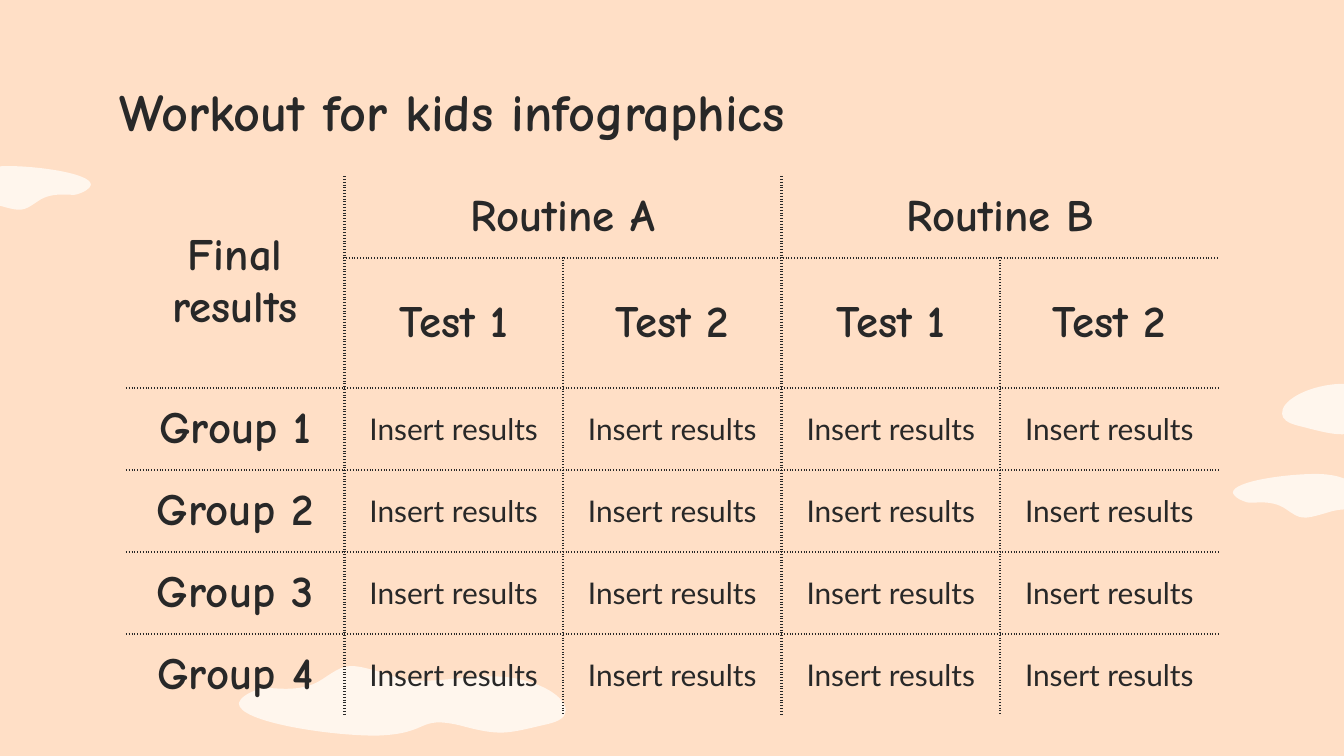
"""Builds a slide with a table of workout results over a sky with clouds."""
from lxml import etree
from pptx import Presentation, util as u
from pptx.dml import color
from pptx.enum import text
from pptx.oxml import parse_xml
from pptx.oxml.ns import nsdecls, qn

INK, SKY, CLOUD = "282828", "FFDFC6", "FFF6ED"
TITLE = "Workout for kids infographics"
TESTS = ["Test 1", "Test 2"]
HEADS = [["Final results", "Routine A", "", "Routine B", ""], [""] + TESTS * 2]
ROWS = HEADS + [[f"Group {n}"] + ["Insert results"] * 4 for n in range(1, 5)]
SPANS = [(0, 0, 1, 0), (0, 1, 0, 2), (0, 3, 0, 4)]
LEFT, TOP, WIDE, HIGH = 2.38, 3.33, 4.13, 1.55
PLAIN = "{2D5ABB26-0587-4C30-8999-92F81FD0307C}"

CURVES = [
    [(-0.01, -0.09), (0.17, -0.2), (0.4, -0.22)],
    [(0.72, -0.24), (0.92, -0.13), (1.19, -0.22)],
    [(1.46, -0.3), (1.47, -0.29), (1.63, -0.18)],
    [(1.79, -0.07), (1.99, -0.13), (2.04, -0.11)],
    [(2.14, -0.08), (2.18, -0.04), (2.19, -0.01)],
    [(2.2, 0.12), (1.56, 0.2), (1.26, 0.19)],
    [(0.9, 0.17), (1, 0.05), (0.71, 0.11)],
    [(0.43, 0.18), (0.4, 0.16), (0.12, 0.09)],
    [(0.04, 0.07), (0, 0.04), (0, 0)],
]
CLOUDS = [
    dict(x=24.23, y=7.82, wide=2.54, high=2.54),
    dict(x=27.2, y=9.3, wide=-1.78, high=-1.78),
    dict(x=-2.18, y=3.48, wide=1.78, high=-1.78),
    dict(x=10.69, y=13.44, wide=-2.82, high=2.82, tilt=0.02),
]


def tint(code):
    return color.RGBColor.from_string(code)


def write(frame, words, size=24, font="Comic Neue", bold=True, align="CENTER"):
    para = frame.paragraphs[0]
    para.alignment = getattr(text.PP_ALIGN, align)
    run = para.add_run()
    run.text = words
    run.font.size, run.font.name, run.font.bold = u.Pt(size), font, bold
    run.font.color.rgb = tint(INK)


def bend(shape):
    lines = list(shape._element.iter(qn("a:lnTo")))
    for first in range(0, len(lines), 3):
        curve = etree.Element(qn("a:cubicBezTo"))
        lines[first].addprevious(curve)
        for line in lines[first:first + 3]:
            curve.append(line[0])
            line.getparent().remove(line)


def draw_cloud(slide, x, y, wide, high, tilt=0):
    spots = [(u.Cm(x + wide * a), u.Cm(y + high * b + tilt * wide * a))
             for curve in CURVES for a, b in curve]
    pen = slide.shapes.build_freeform(*spots[-1])
    pen.add_line_segments(spots)
    cloud = pen.convert_to_shape()
    bend(cloud)
    cloud.shadow.inherit = False
    cloud.fill.solid()
    cloud.fill.fore_color.rgb = tint(CLOUD)
    cloud.line.fill.background()


def rule(cell, side, shown):
    paint = f'<a:solidFill><a:srgbClr val="{INK}"/></a:solidFill><a:prstDash val="dot"/>'
    cell._tc.get_or_add_tcPr().append(parse_xml(
        f'<a:ln{side} {nsdecls("a")} w="{u.Pt(1.5)}">'
        f'{paint if shown else "<a:noFill/>"}</a:ln{side}>'))


def pad(box):
    box.margin_left = box.margin_right = u.Cm(0.25)
    box.margin_top = box.margin_bottom = u.Cm(0.25)


def fill_cell(cell, words, row, col):
    last_row, last_col = row + cell.span_height, col + cell.span_width
    edges = dict(L=col > 0, R=last_col < len(ROWS[0]), T=row > 0, B=last_row < len(ROWS))
    for side, shown in edges.items():
        rule(cell, side, shown)
    cell.fill.background()
    cell.vertical_anchor = text.MSO_ANCHOR.MIDDLE
    pad(cell)
    if row > 1 and col:
        write(cell.text_frame, words, size=16, font="Lato", bold=False)
    else:
        write(cell.text_frame, words)


def add_grid(slide):
    count, total = len(ROWS), len(ROWS[0])
    grid = slide.shapes.add_table(count, total, u.Cm(LEFT), u.Cm(TOP),
                                  u.Cm(WIDE * total), u.Cm(HIGH * count)).table
    grid.first_row = grid.horz_banding = False
    grid._tbl.tblPr[0].text = PLAIN
    for col in grid.columns:
        col.width = u.Cm(WIDE)
    for row in grid.rows:
        row.height = u.Cm(HIGH)
    for top, left, low, right in SPANS:
        grid.cell(top, left).merge(grid.cell(low, right))
    for row, line in enumerate(ROWS):
        for col, words in enumerate(line):
            cell = grid.cell(row, col)
            if not cell.is_spanned:
                fill_cell(cell, words, row, col)


def add_title(slide):
    title = slide.shapes.title
    title.left, title.top, title.width, title.height = map(u.Cm, (2, 1.25, 21.44, 1.6))
    frame = title.text_frame
    pad(frame)
    frame.vertical_anchor = text.MSO_ANCHOR.TOP
    frame.auto_size = text.MSO_AUTO_SIZE.NONE
    write(frame, TITLE, size=28, align="LEFT")


def main():
    deck = Presentation()
    deck.slide_width, deck.slide_height = u.Cm(25.4), u.Cm(14.29)
    slide = deck.slides.add_slide(deck.slide_layouts[5])
    slide.background.fill.solid()
    slide.background.fill.fore_color.rgb = tint(SKY)
    for cloud in CLOUDS:
        draw_cloud(slide, **cloud)
    add_title(slide)
    add_grid(slide)
    deck.save("out.pptx")


if __name__ == "__main__":
    main()
